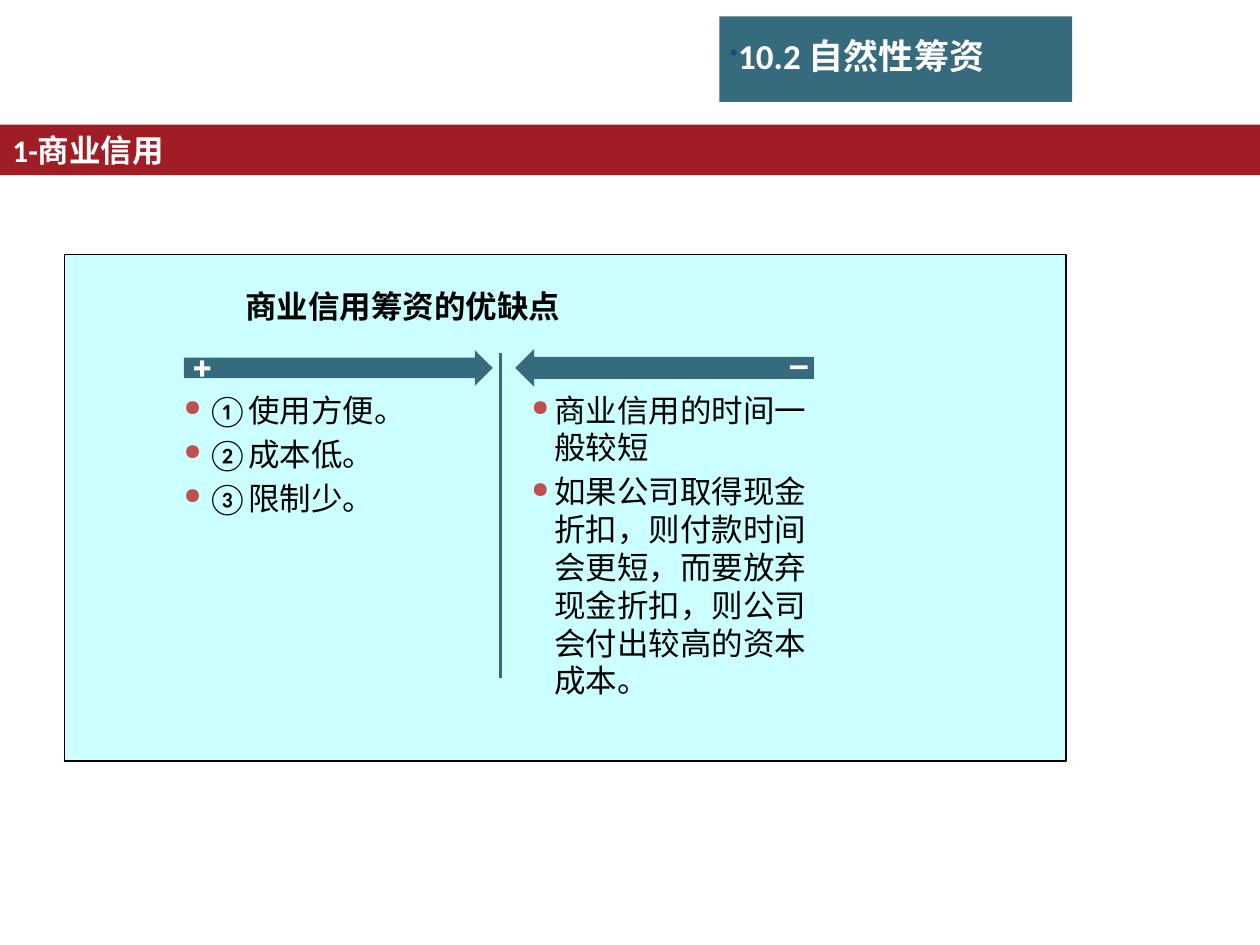
import pptx
import pptx.util
import pptx.dml.color
import pptx.enum.shapes
import pptx.enum.text
import pptx.oxml.ns
from lxml import etree

Inches, Pt = pptx.util.Inches, pptx.util.Pt
MSO = pptx.enum.shapes.MSO_SHAPE
qn = pptx.oxml.ns.qn
RGB = pptx.dml.color.RGBColor.from_string

THEME = {
    "font": "Calibri", "body": 18, "title": 20,
    "teal": "366B7E", "red": "A11D26", "panel": "CCFFFF",
    "white": "FFFFFF", "black": "000000",
    "title_bullet": "1F497D", "list_bullet": "C0504D",
}

prs = pptx.Presentation()
prs.slide_width, prs.slide_height = Inches(10), Inches(7.5)
s = prs.slides.add_slide(prs.slide_layouts[6])


def add_box(kind, at, fill, adj=()):
    """Add a filled preset shape without outline or shadow."""
    sp = s.shapes.add_shape(kind, *map(Inches, at))
    sp.shadow.inherit = False
    sp.fill.solid()
    sp.fill.fore_color.rgb = RGB(THEME[fill])
    sp.line.fill.background()
    for i, value in enumerate(adj):
        sp.adjustments[i] = value
    return sp


def add_text(at, lines, color="black", size="body", bold=False,
             inset=True, bullet=None, indent=0):
    """Add a text box with one paragraph per line, optionally bulleted."""
    sp = s.shapes.add_textbox(*map(Inches, at))
    tf = sp.text_frame
    tf.word_wrap = True
    tf.auto_size = pptx.enum.text.MSO_AUTO_SIZE.SHAPE_TO_FIT_TEXT
    if not inset:
        tf.margin_left = tf.margin_right = tf.margin_top = tf.margin_bottom = 0
    for i, line in enumerate(lines):
        p = tf.add_paragraph() if i else tf.paragraphs[0]
        if i:
            p.space_before = Pt(3.6)
        if bullet:
            char, bullet_color = bullet
            pPr = p._p.get_or_add_pPr()
            pPr.set("marL", str(Inches(indent)))
            pPr.set("indent", str(-Inches(indent)))
            clr = etree.SubElement(pPr, qn("a:buClr"))
            etree.SubElement(clr, qn("a:srgbClr"), val=THEME[bullet_color])
            etree.SubElement(pPr, qn("a:buSzPct"), val="70000")
            etree.SubElement(pPr, qn("a:buChar"), char=char)
        r = p.add_run()
        r.text = line
        r.font.name = THEME["font"]
        r.font.size = Pt(THEME[size])
        r.font.bold = bold
        r.font.color.rgb = RGB(THEME[color])
        etree.SubElement(r._r.get_or_add_rPr(), qn("a:ea"), typeface=THEME["font"])
    return sp


# Panel and headings
panel = add_box(MSO.RECTANGLE, (0.51, 2.02, 7.95, 4.02), "panel")
panel.line.color.rgb = RGB(THEME["black"])
panel.line.width = Pt(0.75)

band = (0, 0.99, 10, 0.4)
add_box(MSO.RECTANGLE, band, "red")
add_text(band, ["1-商业信用"], color="white", bold=True)

add_box(MSO.RECTANGLE, (5.71, 0.13, 2.8, 0.68), "teal")
title = add_text((5.79, 0.27, 2.75, 0.34), ["10.2 自然性筹资"], color="white",
                 size="title", bold=True, inset=False, bullet=("•", "title_bullet"))
title.text_frame.vertical_anchor = pptx.enum.text.MSO_ANCHOR.MIDDLE

# Advantages and drawbacks
columns = [
    ((1.46, 3.1, 2.32, 1.02), ["①使用方便。", "②成本低。", "③限制少。"]),
    ((4.22, 3.1, 2.27, 2.46), [
        "商业信用的时间一般较短",
        "如果公司取得现金折扣，则付款时间会更短，而要放弃现金折扣，则公司会付出较高的资本成本。",
    ]),
]
for at, lines in columns:
    add_text(at, lines, inset=False, bullet=("●", "list_bullet"), indent=0.18)

arrow_adj = (0.58, 0.5)
add_box(MSO.RIGHT_ARROW, (1.46, 2.78, 2.45, 0.28), "teal", arrow_adj)
add_box(MSO.LEFT_ARROW, (4.09, 2.77, 2.37, 0.3), "teal", arrow_adj)
add_box(MSO.CROSS, (1.54, 2.86, 0.13, 0.13), "white", (0.38,))
add_box(MSO.RECTANGLE, (6.27, 2.9, 0.14, 0.03), "white")

divider = s.shapes.add_connector(
    pptx.enum.shapes.MSO_CONNECTOR.STRAIGHT,
    Inches(3.97), Inches(2.8), Inches(3.97), Inches(5.38))
divider.line.color.rgb = RGB(THEME["teal"])
divider.line.width = Pt(1.75)
etree.SubElement(divider._element.spPr, qn("a:effectLst"))

add_text((1.85, 2.23, 5.2, 0.4), ["商业信用筹资的优缺点"], bold=True)

prs.save("out.pptx")
